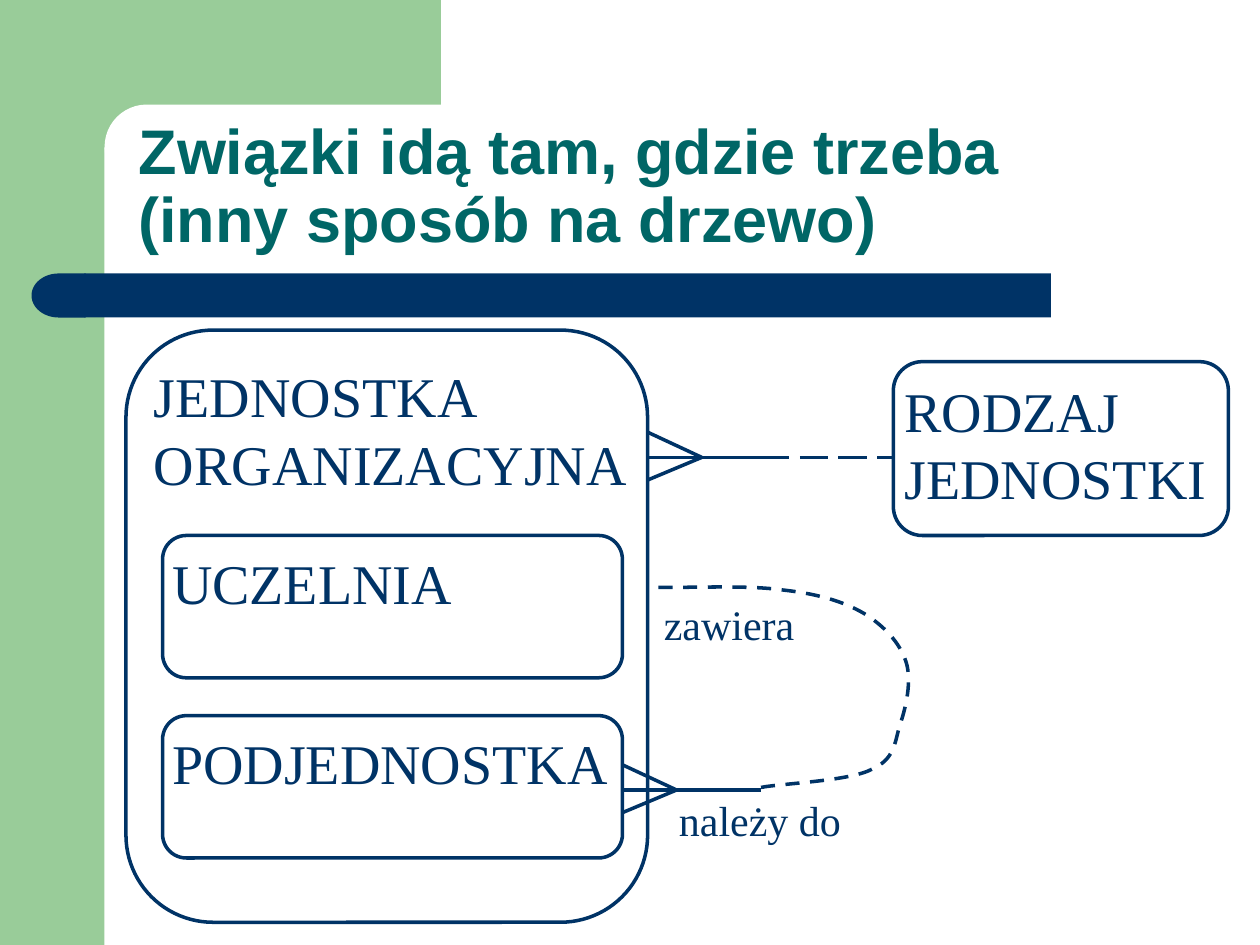
from typing import NamedTuple

from lxml import etree
from pptx import Presentation
from pptx.dml.color import RGBColor
from pptx.enum.dml import MSO_LINE
from pptx.enum.shapes import MSO_CONNECTOR, MSO_SHAPE
from pptx.enum.text import MSO_ANCHOR, MSO_AUTO_SIZE, PP_ALIGN
from pptx.oxml.ns import qn
from pptx.util import Inches, Pt

GREEN = RGBColor(0x99, 0xCC, 0x99)
NAVY = RGBColor(0x00, 0x33, 0x66)
TEAL = RGBColor(0x00, 0x66, 0x66)
WHITE = RGBColor(0xFF, 0xFF, 0xFF)
TITLE_FONT, BODY_FONT = "Arial", "Times New Roman"
RECT, ROUND = MSO_SHAPE.RECTANGLE, MSO_SHAPE.ROUNDED_RECTANGLE
DELAY = MSO_SHAPE.FLOWCHART_DELAY
DASH, LONG_DASH = MSO_LINE.DASH, MSO_LINE.LONG_DASH
LINE_WIDTH = Pt(2)
TITLE_ONLY = 5


class Panel(NamedTuple):
    kind: int
    left: float
    top: float
    width: float
    height: float
    color: RGBColor


class Entity(NamedTuple):
    text: str
    left: float
    top: float
    width: float
    height: float


class Label(NamedTuple):
    text: str
    left: float
    top: float
    width: float


class Foot(NamedTuple):
    left: float
    y: float
    line_end: float


PANELS = [
    Panel(RECT, 0, 0, 0.83, 7.5, GREEN),
    Panel(RECT, 0.75, 0, 2.75, 1.17, GREEN),
    Panel(ROUND, 0.83, 0.83, 5.58, 0.67, WHITE),
    Panel(RECT, 0.67, 2.17, 7.67, 0.35, NAVY),
    Panel(DELAY, 0.25, 2.17, 0.43, 0.35, NAVY),
]
ENTITIES = [
    Entity("JEDNOSTKA\nORGANIZACYJNA", 1, 2.62, 4.14, 4.7),
    Entity("UCZELNIA", 1.29, 4.25, 3.65, 1.13),
    Entity("PODJEDNOSTKA", 1.29, 5.68, 3.65, 1.13),
    Entity("RODZAJ\nJEDNOSTKI", 7.09, 2.87, 2.66, 1.38),
]
FEET = [Foot(5.14, 3.63, 6.04), Foot(4.94, 6.27, 6.04)]
LABELS = [
    Label("należy do", 5.29, 6.26, 1.6),
    Label("zawiera", 5.17, 4.7, 1.35),
]
# Start point, then three Bezier points for each segment
LOOP = [
    (6.04, 6.25),
    (6.18, 6.22), (6.73, 6.2), (6.91, 6.11),
    (7.1, 6.03), (7.1, 5.9), (7.14, 5.76),
    (7.19, 5.62), (7.24, 5.4), (7.19, 5.25),
    (7.14, 5.1), (7.02, 4.97), (6.86, 4.87),
    (6.69, 4.77), (6.48, 4.71), (6.19, 4.68),
    (5.91, 4.64), (5.37, 4.67), (5.16, 4.66),
]


def style_text(tf, size: int) -> None:
    for p in tf.paragraphs:
        p.alignment = PP_ALIGN.LEFT
        for r in p.runs:
            r.font.name = BODY_FONT
            r.font.size = Pt(size)
            r.font.color.rgb = NAVY


def add_panel(s, panel: Panel) -> None:
    sp = s.shapes.add_shape(panel.kind, *map(Inches, panel[1:5]))
    sp.shadow.inherit = False
    sp.fill.solid()
    sp.fill.fore_color.rgb = panel.color
    sp.line.fill.background()
    if panel.kind == ROUND:
        sp.adjustments[0] = 0.5
    elif panel.kind == DELAY:
        sp.rotation = 180


def add_title(s) -> None:
    sp = s.shapes.title
    # Bring the title in front of the background panels
    s.shapes._spTree.append(sp._element)
    sp.left, sp.top, sp.width, sp.height = map(Inches, (1, 0.83, 8.75, 1.25))
    tf = sp.text_frame
    tf.text = "Związki idą tam, gdzie trzeba\v(inny sposób na drzewo)"
    tf.auto_size = MSO_AUTO_SIZE.NONE
    tf.vertical_anchor = MSO_ANCHOR.BOTTOM
    p = tf.paragraphs[0]
    p.alignment = PP_ALIGN.LEFT
    p.line_spacing = 0.9
    for r in p.runs:
        r.font.name = TITLE_FONT
        r.font.size = Pt(36)
        r.font.bold = True
        r.font.color.rgb = TEAL


def add_entity(s, entity: Entity) -> None:
    sp = s.shapes.add_shape(ROUND, *map(Inches, entity[1:]))
    sp.shadow.inherit = False
    sp.adjustments[0] = 0.167
    sp.fill.solid()
    sp.fill.fore_color.rgb = WHITE
    sp.line.color.rgb = NAVY
    sp.line.width = LINE_WIDTH
    tf = sp.text_frame
    tf.text = entity.text
    tf.word_wrap = False
    tf.vertical_anchor = MSO_ANCHOR.TOP
    tf.margin_left, tf.margin_top = Inches(0.02), Inches(0.05)
    style_text(tf, 32)


def add_line(s, x1: float, y1: float, x2: float, y2: float, dash=None) -> None:
    c = s.shapes.add_connector(MSO_CONNECTOR.STRAIGHT,
                               *map(Inches, (x1, y1, x2, y2)))
    c.line.color.rgb = NAVY
    c.line.width = LINE_WIDTH
    if dash is not None:
        c.line.dash_style = dash
    etree.SubElement(c._element.spPr, qn("a:effectLst"))


def add_foot(s, foot: Foot) -> None:
    tip = foot.left + 0.43
    add_line(s, foot.left, foot.y, foot.line_end, foot.y)
    for dy in (-0.2, 0.18):
        add_line(s, foot.left, foot.y + dy, tip, foot.y)


def add_loop(s) -> None:
    points = [(Inches(x), Inches(y)) for x, y in LOOP]
    builder = s.shapes.build_freeform(*points[0])
    builder.add_line_segments(points[1:], close=False)
    sp = builder.convert_to_shape()
    sp.shadow.inherit = False
    sp.fill.background()
    sp.line.color.rgb = NAVY
    sp.line.width = LINE_WIDTH
    sp.line.dash_style = DASH
    # Join every three straight segments into one Bezier curve
    segments = list(sp._element.iter(qn("a:lnTo")))
    outline = segments[0].getparent()
    for i in range(0, len(segments), 3):
        curve = etree.SubElement(outline, qn("a:cubicBezTo"))
        for segment in segments[i:i + 3]:
            curve.append(segment[0])
            outline.remove(segment)


def add_label(s, label: Label) -> None:
    sp = s.shapes.add_textbox(*map(Inches, (*label[1:], 0.5)))
    tf = sp.text_frame
    tf.text = label.text
    tf.word_wrap = True
    style_text(tf, 24)


def main() -> None:
    prs = Presentation()
    prs.slide_width, prs.slide_height = Inches(10), Inches(7.5)
    s = prs.slides.add_slide(prs.slide_layouts[TITLE_ONLY])

    # Background and title
    for panel in PANELS:
        add_panel(s, panel)
    add_title(s)

    # Entities and relationships
    for entity in ENTITIES:
        add_entity(s, entity)
    for foot in FEET:
        add_foot(s, foot)
    add_line(s, 6.04, 3.63, 7.09, 3.63, LONG_DASH)
    add_loop(s)
    for label in LABELS:
        add_label(s, label)
    prs.save("out.pptx")


if __name__ == "__main__":
    main()
